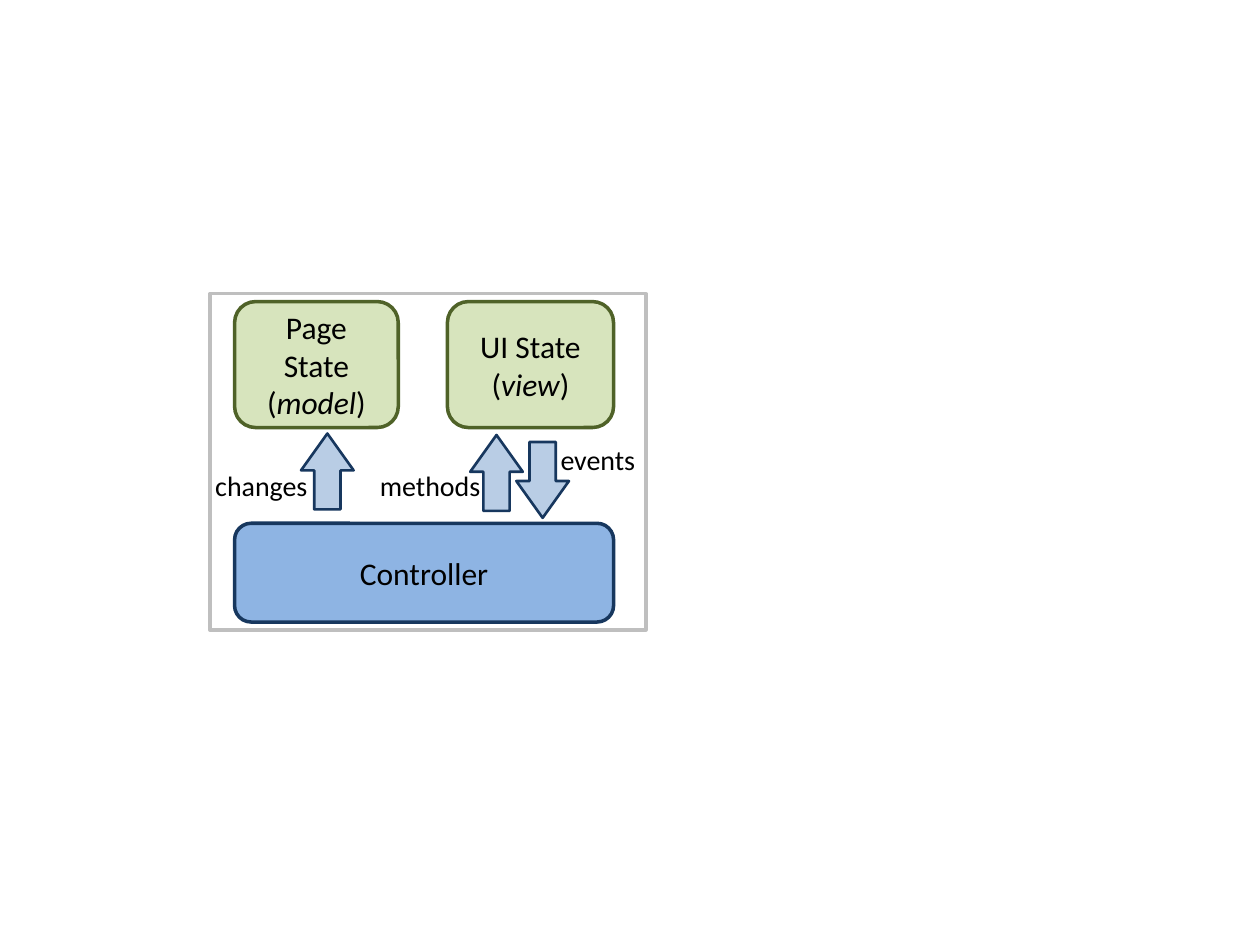
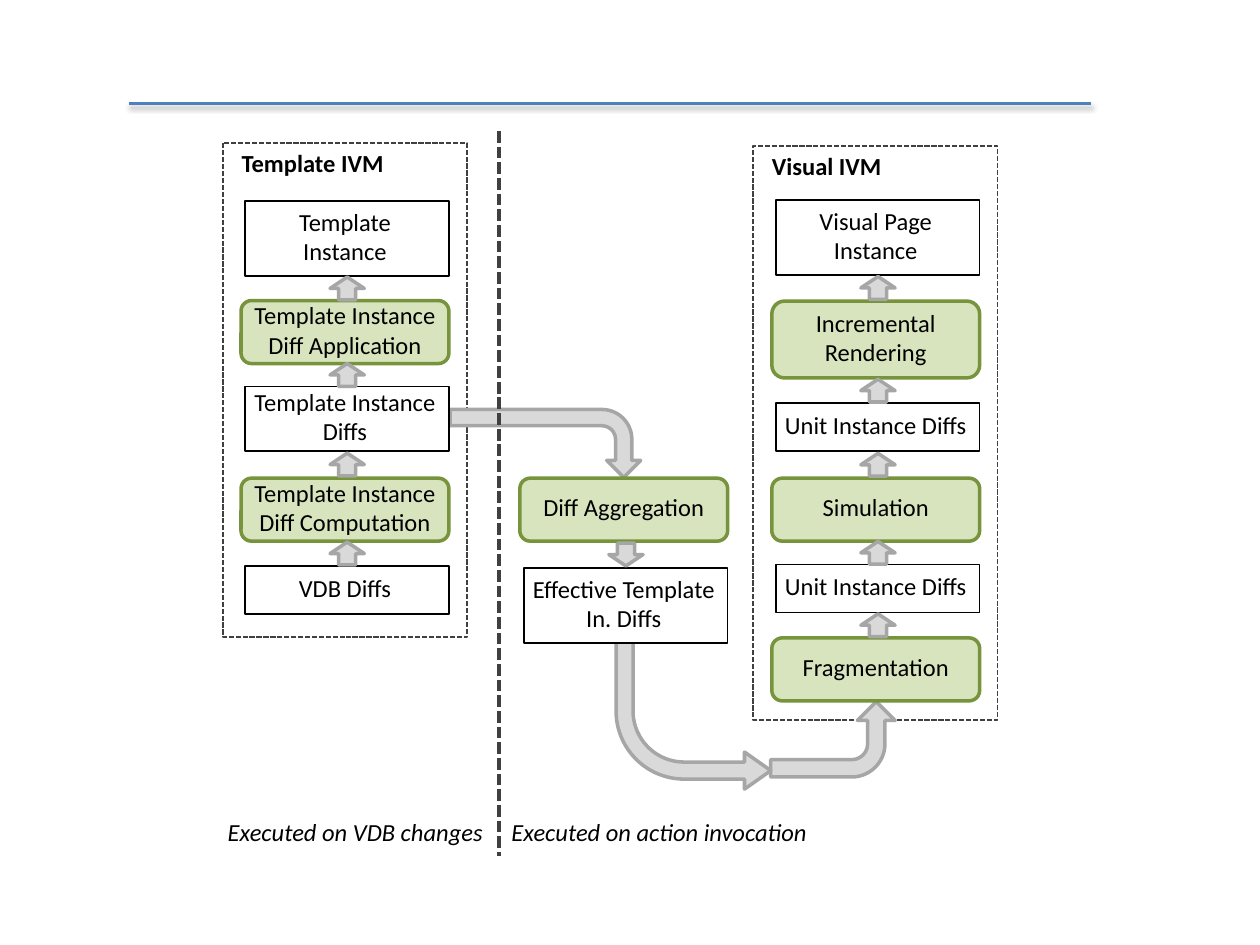
from lxml.etree import SubElement
from pptx import Presentation
from pptx.dml.color import RGBColor
from pptx.enum.dml import MSO_LINE
from pptx.enum.shapes import MSO_CONNECTOR, MSO_SHAPE
from pptx.enum.text import MSO_ANCHOR, PP_ALIGN
from pptx.oxml.ns import qn
from pptx.util import Cm, Pt

FONT = "Calibri"
BLACK, WHITE, PALE_GREEN = "000000", "FFFFFF", "D7E4BD"
NAVY, DARK_GRAY, MID_GRAY = "17375E", "404040", "A6A6A6"


def color(hex_text):
    return RGBColor.from_string(hex_text)


def add_box(page, kind, place, fill=None, line=None, width=1, text="", size=14, inset=0.25):
    """Add a shape, or a text box if kind is None.

    Text between asterisks is italic; a newline is a line break.
    """
    place = [Cm(length) for length in place]
    if kind is None:
        box = page.shapes.add_textbox(*place)
    else:
        box = page.shapes.add_shape(kind, *place)
        box.shadow.inherit = False
        box.line.color.rgb = color(line)
        box.line.width = Pt(width)
        if fill:
            box.fill.solid()
            box.fill.fore_color.rgb = color(fill)
        else:
            box.fill.background()
    if text:
        frame = box.text_frame
        frame.word_wrap = kind is not None
        frame.margin_left = frame.margin_right = Cm(inset)
        if kind is not None:
            frame.margin_top = frame.margin_bottom = 0
            frame.vertical_anchor = MSO_ANCHOR.MIDDLE
        para = frame.paragraphs[0]
        para.alignment = PP_ALIGN.LEFT if kind is None else PP_ALIGN.CENTER
        para.font.name = FONT
        para.font.size = Pt(size)
        para.font.color.rgb = color(BLACK)
        for line_index, text_line in enumerate(text.split("\n")):
            if line_index:
                para.add_line_break()
            for part_index, part in enumerate(text_line.split("*")):
                if part:
                    span = para.add_run()
                    span.text = part
                    if part_index % 2:
                        span.font.italic = True
    return box


deck = Presentation()
deck.slide_width, deck.slide_height = Cm(25.4), Cm(19.05)
blank = deck.slide_layouts[6]

# Slide 1: model, view and controller
page = deck.slides.add_slide(blank)
add_box(page, MSO_SHAPE.RECTANGLE, (4.23, 5.92, 8.79, 6.78), None, "BFBFBF", 2)

for text, place, fill, line in [
    ("Controller", (4.73, 10.55, 7.64, 1.99), "8EB4E3", NAVY),
    ("Page State (*model*)", (4.73, 6.08, 3.3, 2.54), PALE_GREEN, "4F6228"),
    ("UI State (*view*)", (9.02, 6.08, 3.35, 2.54), PALE_GREEN, "4F6228"),
]:
    add_box(page, MSO_SHAPE.ROUNDED_RECTANGLE, place, fill, line, 2, text, 18)

for kind, left, top in [
    (MSO_SHAPE.UP_ARROW, 6.07, 8.74),
    (MSO_SHAPE.UP_ARROW, 9.48, 8.77),
    (MSO_SHAPE.DOWN_ARROW, 10.41, 8.91),
]:
    arrow = add_box(page, kind, (left, top, 1.06, 1.53), "B9CDE5", NAVY, 1.5)
    arrow.adjustments[1] = 0.7

for text, left, top, width in [
    ("methods", 7.41, 9.32, 2.57),
    ("events", 11.05, 8.79, 2.06),
    ("changes", 4.09, 9.32, 2.41),
]:
    add_box(page, None, (left, top, width, 0.94), text=text, size=16)

# Slide 2: incremental view maintenance pipeline
page = deck.slides.add_slide(blank)

for title, place in [
    ("Template IVM", (4.49, 2.88, 4.93, 9.97)),
    ("Visual IVM", (15.18, 2.94, 4.93, 11.58)),
]:
    group = add_box(page, MSO_SHAPE.RECTANGLE, place, None, DARK_GRAY, 1, title, inset=0.38)
    group.line.dash_style = MSO_LINE.SQUARE_DOT
    group.text_frame.vertical_anchor = MSO_ANCHOR.TOP
    group.text_frame.margin_top = Cm(0.11)
    group.text_frame.paragraphs[0].alignment = PP_ALIGN.LEFT
    group.text_frame.paragraphs[0].font.bold = True

for place, rotation, flipped, adjustments in [
    ((10.31, 7.02, 1.37, 3.84), 90, False, (0.24, 0.25, 0.25, 0.44)),
    ((16.03, 13.65, 1.52, 2.51), 270, True, (0.23, 0.25, 0.25, 0.44)),
    ((12.42, 11.69, 3.12, 4.22), 0, True, (0.11, 0.12, 0.17, 0.44)),
]:
    arrow = add_box(page, MSO_SHAPE.BENT_ARROW, place, "D9D9D9", MID_GRAY, 2)
    arrow.rotation = rotation
    for index, value in enumerate(adjustments):
        arrow.adjustments[index] = value
    if flipped:
        arrow.element.spPr.get_or_add_xfrm().set("flipV", "1")

for ends, line, width in [
    ((10.05, 2.64, 10.05, 17.25), DARK_GRAY, 2.25),
    ((2.61, 2.09, 22, 2.09), "4F81BD", 2),
]:
    rule = page.shapes.add_connector(MSO_CONNECTOR.STRAIGHT, *[Cm(end) for end in ends])
    rule.line.color.rgb = color(line)
    rule.line.width = Pt(width)
    effects = SubElement(rule.element.spPr, qn("a:effectLst"))
    if line == DARK_GRAY:
        rule.line.dash_style = MSO_LINE.SQUARE_DOT
    else:
        shadow = SubElement(effects, qn("a:outerShdw"), blurRad=str(Pt(3.1)),
                            dist=str(Pt(1.6)), dir="5400000", rotWithShape="0")
        shade = SubElement(shadow, qn("a:srgbClr"), val=BLACK)
        SubElement(shade, qn("a:alpha"), val="38000")

# Each column: right edge, arrow kind, then steps as (text, is process, top, height)
columns = [
    (9.05, MSO_SHAPE.UP_ARROW, [
        ("Template\nInstance", False, 4.05, 1.52),
        ("Template Instance Diff Application", True, 6.06, 1.27),
        ("Template Instance Diffs", False, 7.79, 1.3),
        ("Template Instance\nDiff Computation", True, 9.64, 1.27),
        ("VDB Diffs", False, 11.41, 0.97),
    ]),
    (14.67, MSO_SHAPE.DOWN_ARROW, [
        ("Diff Aggregation", True, 9.64, 1.27),
        ("Effective Template In. Diffs", False, 11.45, 1.52),
    ]),
    (19.75, MSO_SHAPE.UP_ARROW, [
        ("Visual Page Instance", False, 4.04, 1.5),
        ("Incremental Rendering", True, 6.07, 1.55),
        ("Unit Instance Diffs", False, 8.13, 0.97),
        ("Simulation", True, 9.64, 1.27),
        ("Unit Instance Diffs", False, 11.38, 0.97),
        ("Fragmentation", True, 12.86, 1.27),
    ]),
]
arrow_width, arrow_height = 0.69, 0.46
for right, arrow_kind, steps in columns:
    for text, is_process, top, height in steps:
        if is_process:
            step = add_box(page, MSO_SHAPE.ROUNDED_RECTANGLE, (right - 4.19, top, 4.19, height),
                           PALE_GREEN, "77933C", 2, text, inset=0.1)
        else:
            step = add_box(page, MSO_SHAPE.RECTANGLE, (right - 4.11, top, 4.11, height),
                           WHITE, BLACK, 1, text, inset=0.1)
            step.text_frame.margin_right = Cm(0.18)
        step.text_frame.margin_bottom = Cm(0.1)
    for (_, _, top, height), (_, _, next_top, _) in zip(steps, steps[1:]):
        gap_middle = (top + height + next_top) / 2
        place = (right - 2.05 - arrow_width / 2, gap_middle - arrow_height / 2,
                 arrow_width, arrow_height)
        add_box(page, arrow_kind, place, "D9D9D9", MID_GRAY, 2)

for text, left, width in [
    ("*Executed on VDB changes*", 4.34, 5.89),
    ("*Executed on action invocation*", 10.06, 7.67),
]:
    add_box(page, None, (left, 16.35, width, 0.86), text=text)

deck.save("out.pptx")
